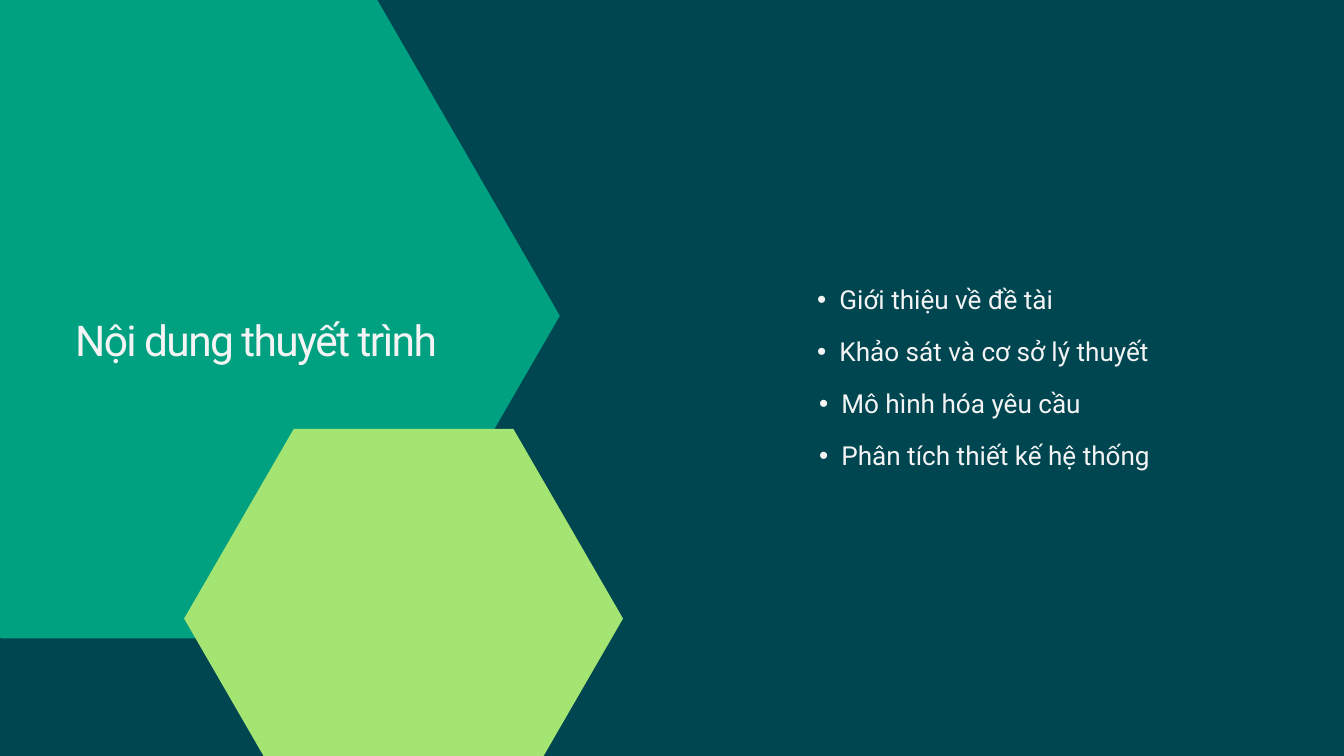
"""Build the agenda slide with two hexagons, a title and four bullet lines."""
from lxml import etree
from pptx import Presentation
from pptx.dml.color import RGBColor
from pptx.enum import text
from pptx.oxml import ns
from pptx.util import Cm, Pt

COLORS = {"bg": "004651", "green": "00A181", "lime": "A4E473", "text": "F4F4F4"}
HEXAGONS = [
    ("green", -7.01, -0.25, 28.17, 24.38),
    ("lime", 6.96, 16.21, 16.59, 14.35),
]
TOPICS = [
    ("Giới thiệu về đề tài", 30.05, text.PP_ALIGN.LEFT),
    ("Khảo sát và cơ sở lý thuyết", 30.05, text.PP_ALIGN.JUSTIFY),
    ("Mô hình hóa yêu cầu", 30.12, text.PP_ALIGN.LEFT),
    ("Phân tích thiết kế hệ thống", 30.12, text.PP_ALIGN.LEFT),
]


def add_hexagon(s, color, x, y, w, h):
    corners = [(1, 0.5), (0.75, 1), (0.25, 1), (0, 0.5), (0.25, 0), (0.75, 0)]
    points = [(Cm(x + w * fx), Cm(y + h * fy)) for fx, fy in corners]
    builder = s.shapes.build_freeform(*points[0])
    builder.add_line_segments(points[1:], close=True)
    sp = builder.convert_to_shape()
    sp.shadow.inherit = False
    sp.fill.solid()
    sp.fill.fore_color.rgb = RGBColor.from_string(COLORS[color])
    sp.line.fill.background()


def add_text(s, words, x, y, w, h, size, leading):
    tf = s.shapes.add_textbox(Cm(x), Cm(y), Cm(w), Cm(h)).text_frame
    tf.margin_left = tf.margin_right = tf.margin_top = tf.margin_bottom = 0
    tf.word_wrap = True
    tf.auto_size = text.MSO_AUTO_SIZE.SHAPE_TO_FIT_TEXT
    tf.text = words
    p = tf.paragraphs[0]
    p.line_spacing = Pt(leading)
    font = p.runs[0].font
    font.name = "Roboto"
    font.size = Pt(size)
    font.color.rgb = RGBColor.from_string(COLORS["text"])
    return p


prs = Presentation()
prs.slide_width, prs.slide_height = Cm(50.8), Cm(28.58)
s = prs.slides.add_slide(prs.slide_layouts[6])
s.background.fill.solid()
s.background.fill.fore_color.rgb = RGBColor.from_string(COLORS["bg"])

for hexagon in HEXAGONS:
    add_hexagon(s, *hexagon)

p = add_text(s, "Nội dung thuyết trình", 2.84, 11.86, 20.96, 1.91, 45.5, 54.6)
p.runs[0].font._element.set("spc", "-170")

for i, (topic, left, align) in enumerate(TOPICS):
    p = add_text(s, topic, left, 10.52 + 1.97 * i, 16.97, 1.27, 28, 39.2)
    p.alignment = align
    p.level = 1
    pPr = p._p.get_or_add_pPr()
    pPr.set("marL", str(Cm(1.68)))
    pPr.set("indent", str(Cm(-0.84)))
    etree.SubElement(pPr, ns.qn("a:buFont"), typeface="Arial")
    etree.SubElement(pPr, ns.qn("a:buChar"), char="•")

prs.save("out.pptx")
